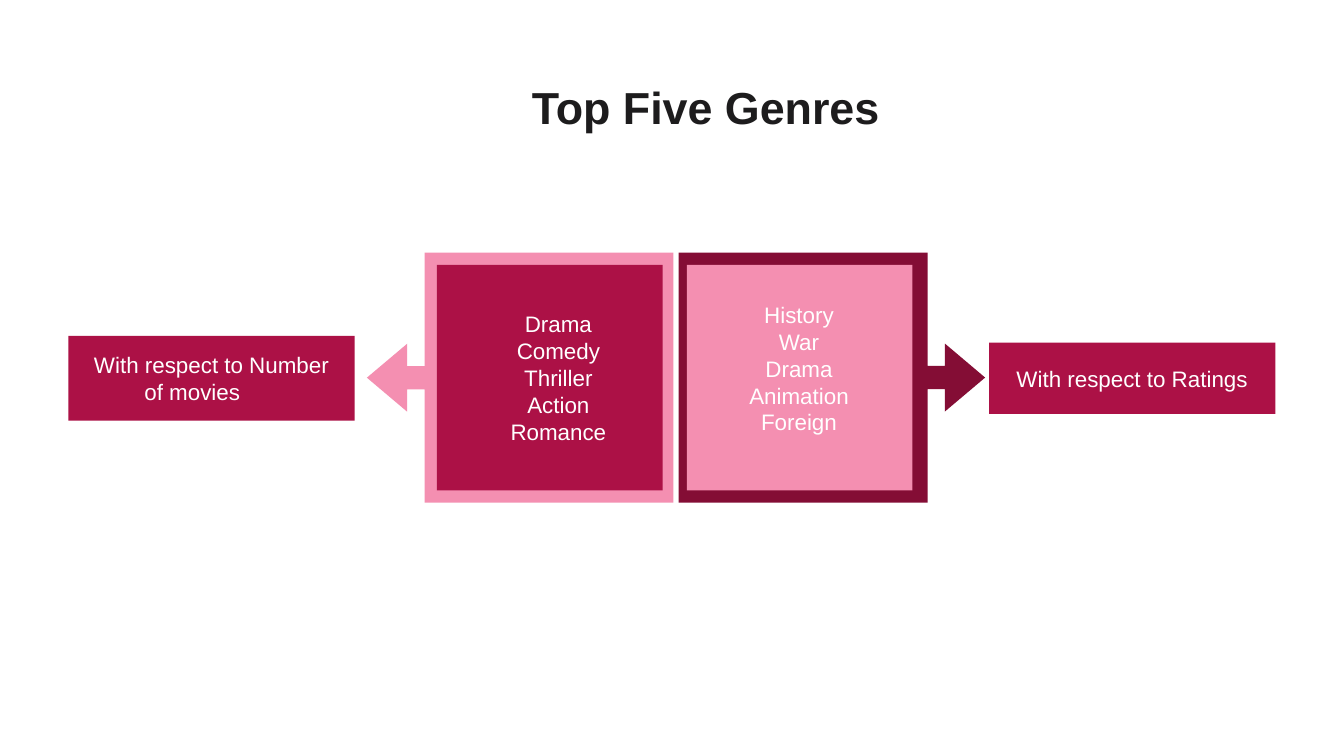
from dataclasses import dataclass

from pptx import Presentation
from pptx.dml.color import RGBColor
from pptx.enum.shapes import MSO_SHAPE as Shape
from pptx.enum.text import MSO_ANCHOR as Anchor, PP_ALIGN as Align
from pptx.util import Inches, Pt


@dataclass(frozen=True)
class Theme:
    font: str = "Arial"
    title_size: int = 24
    body_size: int = 12
    ink: str = "1D1C1D"
    white: str = "FFFFFF"
    pink: str = "F48FB1"
    crimson: str = "AC1146"
    maroon: str = "840D35"


theme = Theme()


def add_block(kind, left, top, width, height, color):
    shape = slide.shapes.add_shape(kind, Inches(left), Inches(top), Inches(width), Inches(height))
    shape.shadow.inherit = False
    shape.fill.solid()
    shape.fill.fore_color.rgb = RGBColor.from_string(color)
    shape.line.fill.background()
    return shape


def write_text(shape, text, size, color, anchor=Anchor.TOP, bold=False):
    frame = shape.text_frame
    frame.word_wrap = True
    frame.vertical_anchor = anchor
    frame.margin_left = frame.margin_right = Inches(0.1)
    frame.margin_top = frame.margin_bottom = Inches(0.1)
    frame.text = text
    for paragraph in frame.paragraphs:
        paragraph.alignment = Align.CENTER
        for run in paragraph.runs:
            run.font.name = theme.font
            run.font.size = Pt(size)
            run.font.bold = bold
            run.font.color.rgb = RGBColor.from_string(color)


presentation = Presentation()
presentation.slide_width = Inches(10)
presentation.slide_height = Inches(10) * 9 // 16
slide = presentation.slides.add_slide(presentation.slide_layouts[6])

title = slide.shapes.add_textbox(Inches(0.34), Inches(0.49), Inches(9.32), Inches(0.63))
write_text(title, "Top Five Genres", theme.title_size, theme.ink, bold=True)
title.text_frame.paragraphs[0]._p.get_or_add_pPr().set("indent", str(Inches(0.5)))

callouts = [(2.73, 180, theme.pink), (5.05, 0, theme.maroon)]
for left, rotation, color in callouts:
    callout = add_block(Shape.RIGHT_ARROW_CALLOUT, left, 1.88, 2.28, 1.86, color)
    callout.rotation = rotation
    for index, value in enumerate((0.093, 0.136, 0.161, 0.812)):
        callout.adjustments[index] = value

panels = [
    (3.25, theme.crimson, 3.45, 2.21, ["Drama", "Comedy", "Thriller", "Action", "Romance"]),
    (5.11, theme.pink, 5.24, 2.14, ["History", "War", "Drama", "Animation", "Foreign"]),
]
for left, color, text_left, text_top, genres in panels:
    add_block(Shape.RECTANGLE, left, 1.97, 1.68, 1.68, color)
    genre_list = slide.shapes.add_textbox(Inches(text_left), Inches(text_top), Inches(1.41), Inches(1.2))
    write_text(genre_list, "\n".join(genres), theme.body_size, theme.white)

labels = [
    (0.51, 2.5, 0.63, "With respect to Number of movies\t"),
    (7.36, 2.55, 0.53, "With respect to Ratings"),
]
for left, top, height, text in labels:
    label = add_block(Shape.RECTANGLE, left, top, 2.13, height, theme.crimson)
    write_text(label, text, theme.body_size, theme.white, Anchor.MIDDLE)

presentation.save("out.pptx")
